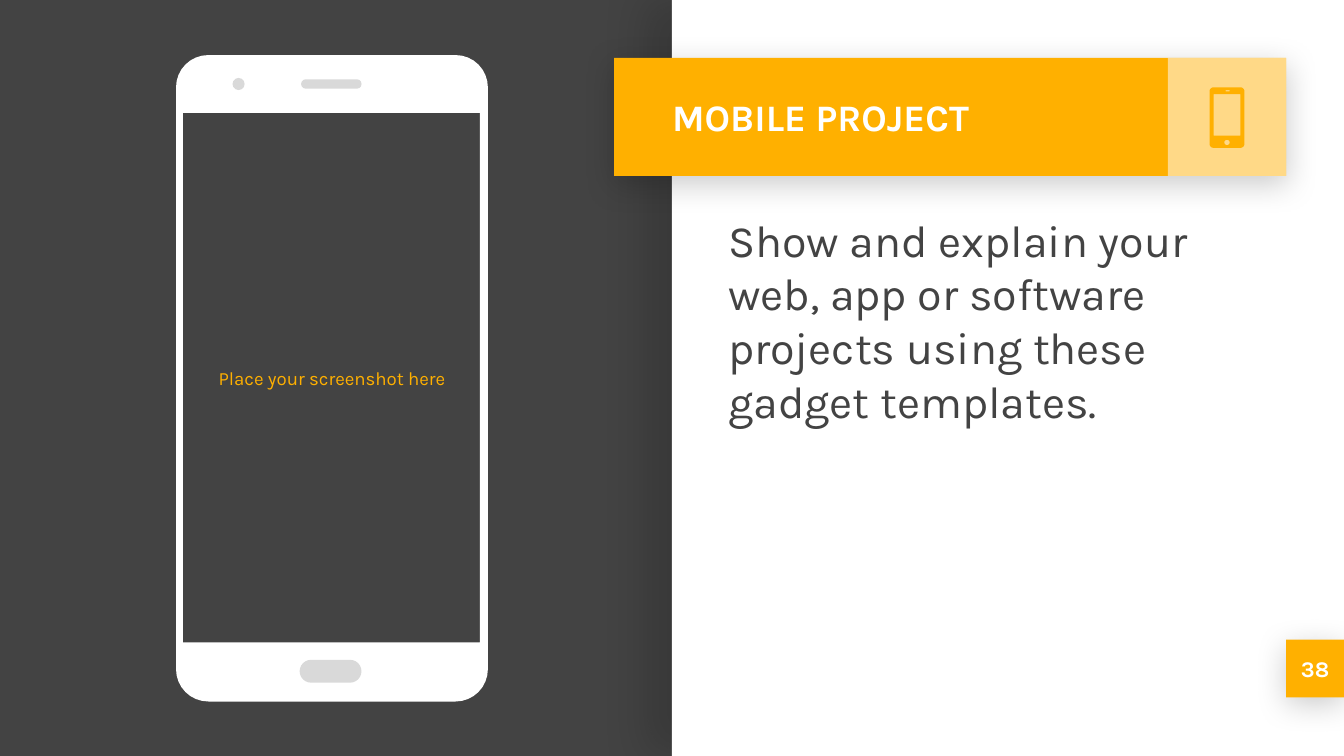
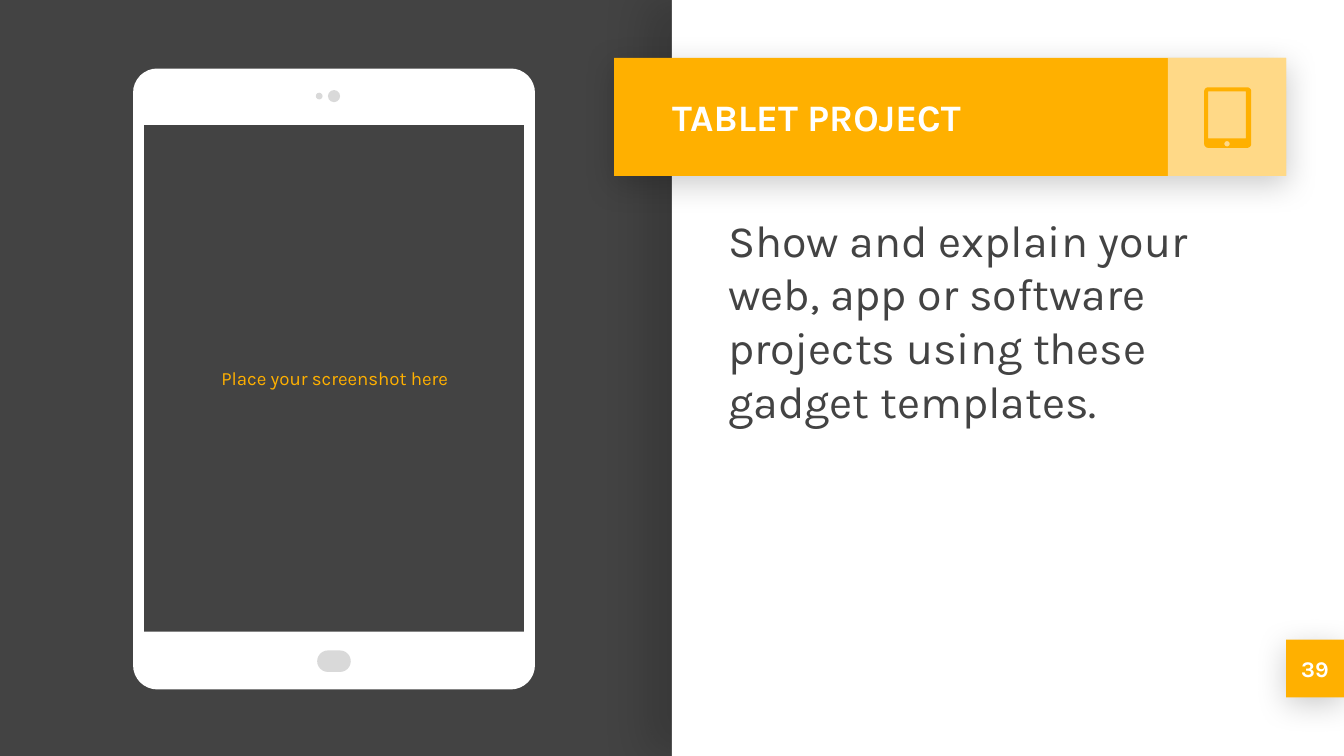
from dataclasses import dataclass
from math import cos, pi, sin
from typing import Optional

from lxml.etree import SubElement
from pptx import Presentation
from pptx.dml.color import RGBColor
from pptx.enum.shapes import MSO_SHAPE
from pptx.enum.text import MSO_ANCHOR, MSO_AUTO_SIZE, PP_ALIGN
from pptx.oxml.ns import qn
from pptx.util import Inches, Pt

CHARCOAL = RGBColor(0x43, 0x43, 0x43)
AMBER = RGBColor(0xFF, 0xB0, 0x00)
WHITE = RGBColor(0xFF, 0xFF, 0xFF)
SILVER = RGBColor(0xD9, 0xD9, 0xD9)
FONT = "Karla"
ARC_STEPS = 8
SLIDE_WIDTH = 10
SLIDE_HEIGHT = SLIDE_WIDTH * 9 / 16


@dataclass(frozen=True)
class Box:
    left: float
    top: float
    width: float
    height: float
    radius: float = 0

    def place(self) -> tuple:
        return tuple(Inches(n) for n in (self.left, self.top, self.width, self.height))


@dataclass(frozen=True)
class Shadow:
    alpha: int
    blur: float
    distance: float
    angle: int


@dataclass(frozen=True)
class TextStyle:
    size: int
    color: RGBColor
    bold: bool = False
    align: PP_ALIGN = PP_ALIGN.LEFT
    anchor: MSO_ANCHOR = MSO_ANCHOR.MIDDLE
    space_before: int = 0


@dataclass(frozen=True)
class Gadget:
    title: str
    number: int
    body: Box
    screen: Box
    caption: Box
    home_button: Box
    dots: tuple
    speaker: Optional[Box]
    icon: Box
    icon_holes: tuple


PANEL = Box(SLIDE_WIDTH / 2, 0, SLIDE_WIDTH / 2, SLIDE_HEIGHT)
NUMBER_TAB = Box(9.57, 4.76, 0.43, 0.43)
BAND = Box(4.57, 0.43, 5, 0.88)
ICON_TILE = Box(8.69, 0.43, 0.88, 0.88)
TITLE = Box(4.9, 0.43, 3.78, 0.88)
DESCRIPTION = Box(5.32, 1.48, 4.13, 3.21)

PANEL_SHADOW = Shadow(15, 22.5, 15, 180)
BAND_SHADOW = Shadow(20, 16.9, 3.8, 90)

TITLE_STYLE = TextStyle(20, WHITE, bold=True)
NUMBER_STYLE = TextStyle(12, WHITE, bold=True, align=PP_ALIGN.CENTER)
CAPTION_STYLE = TextStyle(10, AMBER, align=PP_ALIGN.CENTER)
DESCRIPTION_STYLE = TextStyle(24, CHARCOAL, anchor=MSO_ANCHOR.TOP, space_before=6)

GADGETS = (
    Gadget(
        title="MOBILE PROJECT",
        number=38,
        body=Box(1.31, 0.41, 2.32, 4.81, 0.24),
        screen=Box(1.36, 0.84, 2.21, 3.94),
        caption=Box(1.37, 0.86, 2.2, 3.91),
        home_button=Box(2.23, 4.91, 0.46, 0.17),
        dots=(Box(1.73, 0.58, 0.09, 0.09),),
        speaker=Box(2.24, 0.59, 0.45, 0.07),
        icon=Box(9, 0.65, 0.26, 0.45, 0.03),
        icon_holes=(
            Box(9.03, 0.7, 0.2, 0.31),
            Box(9.11, 1.04, 0.04, 0.04, 0.02),
            Box(9.12, 0.67, 0.03, 0.01),
        ),
    ),
    Gadget(
        title="TABLET PROJECT",
        number=39,
        body=Box(0.99, 0.51, 2.99, 4.62, 0.18),
        screen=Box(1.07, 0.93, 2.83, 3.77),
        caption=Box(1.08, 0.93, 2.82, 3.76),
        home_button=Box(2.36, 4.84, 0.25, 0.16),
        dots=(Box(2.35, 0.69, 0.05, 0.05), Box(2.44, 0.67, 0.09, 0.09)),
        speaker=None,
        icon=Box(8.96, 0.65, 0.35, 0.45, 0.03),
        icon_holes=(
            Box(8.99, 0.68, 0.28, 0.35),
            Box(9.11, 1.05, 0.04, 0.04, 0.02),
        ),
    ),
)


def paint(shape, color: RGBColor) -> None:
    shape.shadow.inherit = False
    shape.fill.solid()
    shape.fill.fore_color.rgb = color
    shape.line.fill.background()


def add_preset(slide, kind: MSO_SHAPE, box: Box, color: RGBColor):
    shape = slide.shapes.add_shape(kind, *box.place())
    paint(shape, color)
    return shape


def add_pill(slide, box: Box) -> None:
    pill = add_preset(slide, MSO_SHAPE.ROUNDED_RECTANGLE, box, SILVER)
    pill.adjustments[0] = 0.5


def cast_shadow(shape, shadow: Shadow) -> None:
    effects = shape.element.spPr.find(qn("a:effectLst"))
    outer = SubElement(
        effects,
        qn("a:outerShdw"),
        blurRad=str(Pt(shadow.blur)),
        dist=str(Pt(shadow.distance)),
        dir=str(shadow.angle * 60000),
        algn="bl",
        rotWithShape="0",
    )
    black = SubElement(outer, qn("a:srgbClr"), val="000000")
    SubElement(black, qn("a:alpha"), val=str(shadow.alpha * 1000))


def set_opacity(shape, percent: int) -> None:
    color = shape.element.spPr.find(qn("a:solidFill"))[0]
    SubElement(color, qn("a:alpha"), val=str(percent * 1000))


def contour(box: Box) -> list:
    r = box.radius
    left, top = box.left + r, box.top + r
    right, bottom = box.left + box.width - r, box.top + box.height - r
    centres = ((right, bottom), (left, bottom), (left, top), (right, top))
    steps = ARC_STEPS if r else 0
    points = []
    for quarter, (x, y) in enumerate(centres):
        for step in range(steps + 1):
            angle = (quarter + step / max(steps, 1)) * pi / 2
            points.append((Inches(x + r * cos(angle)), Inches(y + r * sin(angle))))
    return points


def add_frame(slide, outline: Box, holes: tuple, color: RGBColor) -> None:
    edge = contour(outline)
    builder = slide.shapes.build_freeform(*edge[0])
    builder.add_line_segments(edge[1:], close=True)
    for hole in holes:
        inner = contour(hole)[::-1]
        builder.move_to(*inner[0])
        builder.add_line_segments(inner[1:], close=True)
    paint(builder.convert_to_shape(), color)


def write(holder, text: str, style: TextStyle) -> None:
    frame = holder.text_frame
    frame.word_wrap = True
    frame.auto_size = MSO_AUTO_SIZE.NONE
    frame.vertical_anchor = style.anchor
    frame.margin_left = frame.margin_right = Inches(0.1)
    frame.margin_top = frame.margin_bottom = Inches(0.1)
    paragraph = frame.paragraphs[0]
    paragraph.alignment = style.align
    paragraph.space_before = Pt(style.space_before)
    run = paragraph.add_run()
    run.text = text
    run.font.name = FONT
    run.font.size = Pt(style.size)
    run.font.bold = style.bold
    run.font.color.rgb = style.color


def add_text(slide, box: Box, text: str, style: TextStyle) -> None:
    write(slide.shapes.add_textbox(*box.place()), text, style)


def add_backdrop(slide) -> None:
    for box, color, shadow in (
        (PANEL, WHITE, PANEL_SHADOW),
        (NUMBER_TAB, AMBER, BAND_SHADOW),
        (BAND, AMBER, BAND_SHADOW),
    ):
        cast_shadow(add_preset(slide, MSO_SHAPE.RECTANGLE, box, color), shadow)
    set_opacity(add_preset(slide, MSO_SHAPE.RECTANGLE, ICON_TILE, WHITE), 53)


def add_title(slide, text: str) -> None:
    title = slide.shapes.title
    title.left, title.top, title.width, title.height = TITLE.place()
    write(title, text, TITLE_STYLE)
    title.element.getparent().append(title.element)


def add_gadget_slide(deck, gadget: Gadget) -> None:
    slide = deck.slides.add_slide(deck.slide_layouts[5])
    slide.background.fill.solid()
    slide.background.fill.fore_color.rgb = CHARCOAL
    add_backdrop(slide)
    add_text(
        slide,
        DESCRIPTION,
        "Show and explain your web, app or software projects using these gadget templates.",
        DESCRIPTION_STYLE,
    )
    add_text(slide, NUMBER_TAB, str(gadget.number), NUMBER_STYLE)
    add_frame(slide, gadget.body, (gadget.screen,), WHITE)
    add_pill(slide, gadget.home_button)
    for dot in gadget.dots:
        add_preset(slide, MSO_SHAPE.OVAL, dot, SILVER)
    if gadget.speaker:
        add_pill(slide, gadget.speaker)
    add_title(slide, gadget.title)
    add_frame(slide, gadget.icon, gadget.icon_holes, AMBER)
    add_text(slide, gadget.caption, "Place your screenshot here", CAPTION_STYLE)


def main() -> None:
    deck = Presentation()
    deck.slide_width, deck.slide_height = Inches(SLIDE_WIDTH), Inches(SLIDE_HEIGHT)
    for gadget in GADGETS:
        add_gadget_slide(deck, gadget)
    deck.save("out.pptx")


if __name__ == "__main__":
    main()
